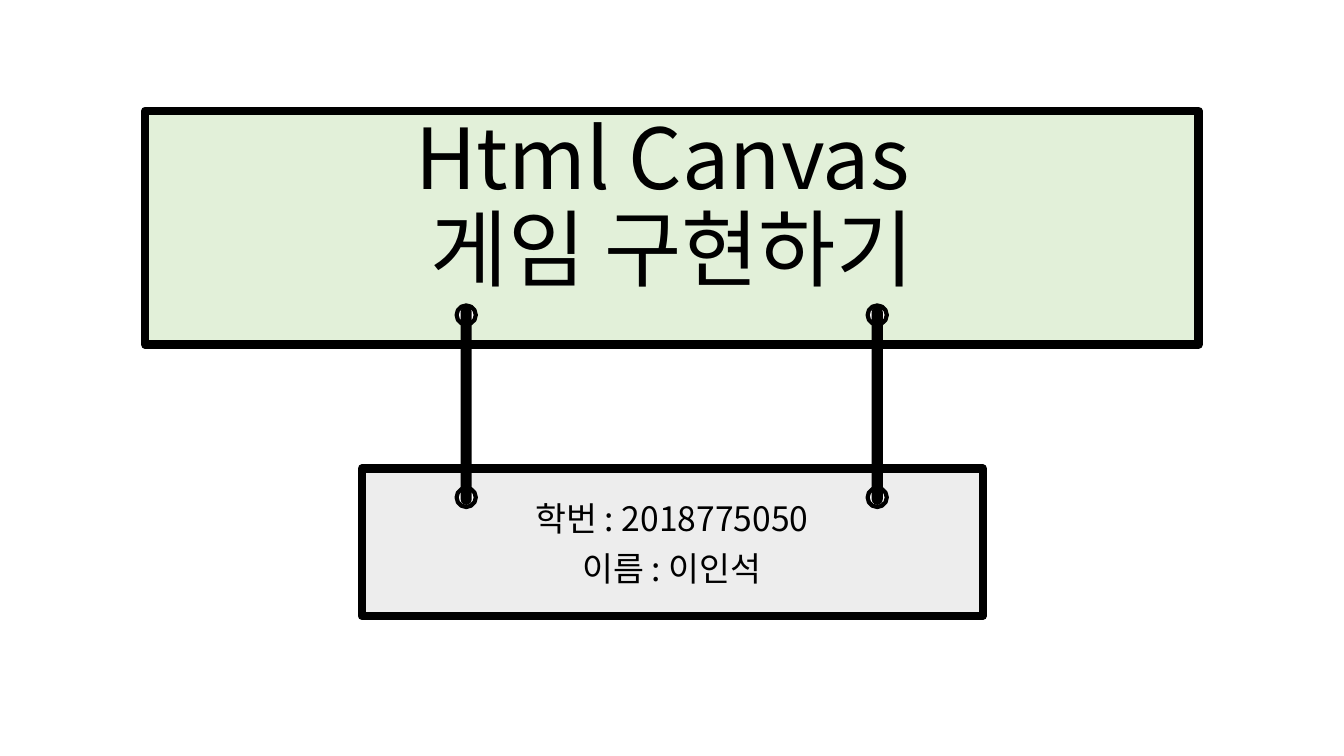
from pptx import Presentation
from pptx.dml.color import RGBColor
from pptx.enum.shapes import MSO_SHAPE as Preset
from pptx.enum.text import MSO_ANCHOR as Anchor, MSO_AUTO_SIZE as AutoSize, PP_ALIGN as Align
from pptx.oxml.ns import qn
from pptx.util import Pt

FONT = "Noto Sans CJK KR"
BLACK, WHITE, GREEN, GRAY = "000000", "FFFFFF", "E2F0D9", "EDEDED"


def color(value):
    return RGBColor.from_string(value)


def apply(target, values):
    for name, value in values.items():
        setattr(target, name, value)


def place(shape, box):
    apply(shape, dict(zip(("left", "top", "width", "height"), map(Pt, box))))


class SignSlide:
    def __init__(self, slide, font, ink):
        self.slide = slide
        self.font = font
        self.ink = ink

    def shape(self, preset, box, fill, line=None):
        shape = self.slide.shapes.add_shape(preset, *map(Pt, box))
        shape.shadow.inherit = False
        shape.fill.solid()
        shape.fill.fore_color.rgb = color(fill)
        if line:
            shape.line.width = Pt(line)
            shape.line.color.rgb = color(self.ink)
        else:
            shape.line.fill.background()
        return shape

    def board(self, box, fill):
        return self.shape(Preset.RECTANGLE, box, fill, line=6)

    def ring(self, x, y, diameter=13.7):
        radius = diameter / 2
        self.shape(Preset.OVAL, (x - radius, y - radius, diameter, diameter), WHITE, line=3)

    def rod(self, x, top, height, width=7.9):
        rod = self.shape(Preset.ROUNDED_RECTANGLE, (x - width / 2, top, width, height), self.ink)
        rod.adjustments[0] = 0.5

    def text(self, placeholder, board, box, lines, size, anchor, gap=0):
        """Fill a placeholder and stack it directly in front of its board."""
        place(placeholder, box)
        board.element.addnext(placeholder.element)
        frame = placeholder.text_frame
        apply(frame, {"word_wrap": True, "auto_size": AutoSize.NONE, "vertical_anchor": anchor})
        frame.text = "\n".join(lines)
        for index, paragraph in enumerate(frame.paragraphs):
            apply(paragraph, {"alignment": Align.CENTER, "line_spacing": 0.9,
                              "space_before": Pt(gap if index else 0)})
            for run in paragraph.runs:
                apply(run.font, {"name": self.font, "size": Pt(size)})
                run.font.color.rgb = color(self.ink)
                east_asian = run.font._element.makeelement(qn("a:ea"), {"typeface": self.font})
                run.font._element.find(qn("a:latin")).addnext(east_asian)


def main():
    presentation = Presentation()
    apply(presentation, {"slide_width": Pt(960), "slide_height": Pt(540)})
    slide = presentation.slides.add_slide(presentation.slide_layouts[0])
    title, subtitle = slide.placeholders
    sign = SignSlide(slide, FONT, BLACK)

    name_board = sign.board((258.5, 334.8, 443.5, 105.1), GRAY)
    sign.text(subtitle, name_board, (120, 355, 720, 130.3),
              ["학번 : 2018775050", "이름 : 이인석"], 24, Anchor.TOP, gap=10)
    title_board = sign.board((103.7, 79.2, 752.4, 167), GREEN)
    sign.text(title, title_board, (120, 28.8, 720, 187.9),
              ["Html Canvas ", "게임 구현하기"], 60, Anchor.BOTTOM)

    hanger_columns = (333, 626.6)
    for y in (225, 355.3):
        for x in hanger_columns:
            sign.ring(x, y)
    for x in hanger_columns:
        sign.rod(x, 218.9, 141.8)

    presentation.save("out.pptx")


if __name__ == "__main__":
    main()
